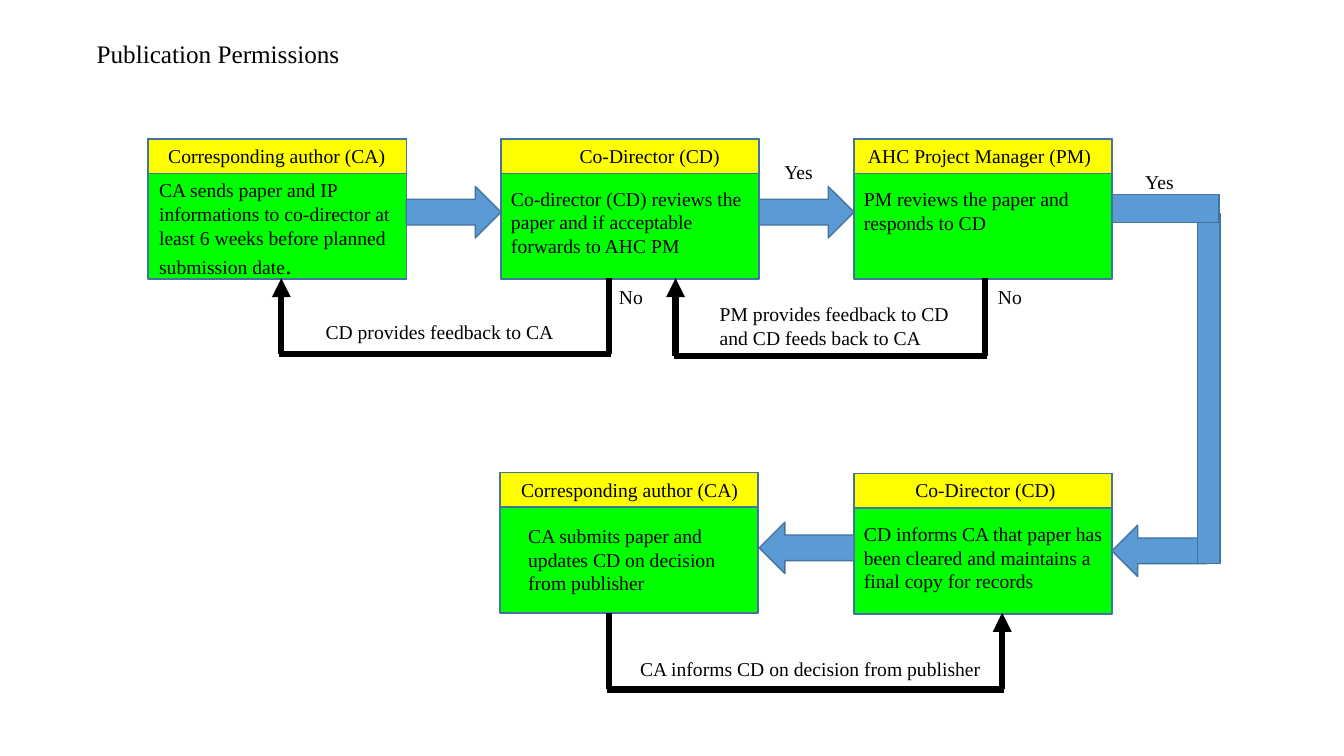
from dataclasses import dataclass

from lxml import etree
from pptx import Presentation
from pptx.dml.color import RGBColor
from pptx.enum.shapes import MSO_CONNECTOR, MSO_SHAPE
from pptx.enum.text import MSO_AUTO_SIZE
from pptx.oxml.ns import qn
from pptx.slide import Slide
from pptx.util import Emu, Pt

RECTANGLE = MSO_SHAPE.RECTANGLE
RIGHT_ARROW = MSO_SHAPE.RIGHT_ARROW
LEFT_ARROW = MSO_SHAPE.LEFT_ARROW
STRAIGHT = MSO_CONNECTOR.STRAIGHT
FIT_TEXT = MSO_AUTO_SIZE.SHAPE_TO_FIT_TEXT

EMU_PER_PX = 9144  # 100 px to the inch
FONT = "Times New Roman"
BLACK = RGBColor(0x00, 0x00, 0x00)
GREEN = RGBColor(0x00, 0xFF, 0x00)
YELLOW = RGBColor(0xFF, 0xFF, 0x00)
BLUE = RGBColor(0x5B, 0x9B, 0xD5)
OUTLINE = RGBColor(0x43, 0x73, 0x9E)

STAGE_WIDTH, STAGE_HEIGHT, HEADER_HEIGHT = 256, 139, 34
LOOP_OVERHANG = 2


@dataclass(frozen=True)
class Label:
    text: str
    left: int
    top: int
    width: int
    height: int = 34
    size: int = 14
    wrap: bool = False
    ending: str = ""  # closing characters set at 18 pt


@dataclass(frozen=True)
class Stage:
    left: int
    top: int
    role: Label
    task: Label


@dataclass(frozen=True)
class Block:
    kind: MSO_SHAPE
    left: int
    top: int
    width: int = 94
    height: int = 51


@dataclass(frozen=True)
class FeedbackLoop:
    start_x: int
    end_x: int
    top: int
    base: int


STAGES = [
    Stage(147, 138, Label("Corresponding author (CA)", 157, 138, 236, wrap=True),
          Label("CA sends paper and IP informations to co-director at least "
                "6 weeks before planned submission date",
                148, 172, 256, 111, wrap=True, ending=".")),
    Stage(497, 138, Label("Co-Director (CD)", 565, 138, 191, wrap=True),
          Label("Co-director (CD) reviews the paper and if acceptable forwards to AHC PM",
                497, 180, 256, 81, wrap=True)),
    Stage(847, 138, Label("AHC Project Manager (PM)", 851, 138, 258, wrap=True),
          Label("PM reviews the paper and responds to CD", 847, 181, 256, 57, wrap=True)),
    Stage(847, 470, Label("Co-Director (CD)", 898, 469, 191, wrap=True),
          Label("CD informs CA that paper has been cleared and maintains "
                "a final copy for records", 847, 513, 262, 81, wrap=True)),
    Stage(496, 469, Label("Corresponding author (CA)", 507, 469, 236, wrap=True),
          Label("CA submits paper and updates CD on decision from publisher",
                514, 515, 239, 81, wrap=True)),
]

FLOW = [
    Block(RIGHT_ARROW, 403, 185),
    Block(RIGHT_ARROW, 753, 185),
    Block(LEFT_ARROW, 753, 518),
    Block(LEFT_ARROW, 1103, 521),
    Block(RECTANGLE, 1188, 212, 22, 347),
    Block(RECTANGLE, 1103, 193, 106, 28),
]

LOOPS = [
    FeedbackLoop(604, 279, 276, 351),
    FeedbackLoop(977, 670, 276, 353),
    FeedbackLoop(604, 994, 608, 684),
]

LABELS = [
    Label("Publication Permissions", 86, 33, 264, 40, size=18),
    Label("CD provides feedback to CA", 313, 312, 248),
    Label("PM provides feedback to CD and CD feeds back to CA", 704, 295, 260, 57, wrap=True),
    Label("No", 604, 278, 44),
    Label("No", 980, 278, 44),
    Label("Yes", 1126, 164, 49),
    Label("Yes", 768, 154, 49),
    Label("CA informs CD on decision from publisher", 625, 647, 361),
]


def px(length: int) -> Emu:
    return Emu(length * EMU_PER_PX)


def draw_block(slide: Slide, block: Block, fill: RGBColor) -> None:
    shape = slide.shapes.add_shape(block.kind, px(block.left), px(block.top),
                                   px(block.width), px(block.height))
    shape.shadow.inherit = False
    shape.fill.solid()
    shape.fill.fore_color.rgb = fill
    shape.line.color.rgb = OUTLINE
    shape.line.width = Pt(1)


def draw_label(slide: Slide, label: Label) -> None:
    box = slide.shapes.add_textbox(px(label.left), px(label.top),
                                   px(label.width), px(label.height))
    frame = box.text_frame
    frame.word_wrap = label.wrap
    frame.auto_size = FIT_TEXT
    paragraph = frame.paragraphs[0]
    paragraph.font.name = FONT
    paragraph.font.size = Pt(label.size)
    paragraph.font.color.rgb = BLACK
    paragraph.add_run().text = label.text
    if label.ending:
        ending = paragraph.add_run()
        ending.text = label.ending
        ending.font.size = Pt(18)


def draw_stage(slide: Slide, stage: Stage) -> None:
    for height, fill in ((STAGE_HEIGHT, GREEN), (HEADER_HEIGHT, YELLOW)):
        draw_block(slide, Block(RECTANGLE, stage.left, stage.top, STAGE_WIDTH, height), fill)
    draw_label(slide, stage.role)
    draw_label(slide, stage.task)


def draw_line(slide: Slide, x1: int, y1: int, x2: int, y2: int, arrow: bool = False) -> None:
    line = slide.shapes.add_connector(STRAIGHT, px(x1), px(y1), px(x2), px(y2))
    line.line.color.rgb = BLACK
    line.line.width = Pt(4.5)
    if arrow:
        etree.SubElement(line.line._get_or_add_ln(), qn("a:tailEnd"), type="triangle")
    etree.SubElement(line._element.spPr, qn("a:effectLst"))


def draw_loop(slide: Slide, loop: FeedbackLoop) -> None:
    left, right = sorted((loop.start_x, loop.end_x))
    draw_line(slide, loop.start_x, loop.top, loop.start_x, loop.base)
    draw_line(slide, left - LOOP_OVERHANG, loop.base, right + LOOP_OVERHANG, loop.base)
    draw_line(slide, loop.end_x, loop.base, loop.end_x, loop.top, arrow=True)


def main() -> None:
    presentation = Presentation()
    presentation.slide_width = px(1333)
    presentation.slide_height = px(750)
    slide = presentation.slides.add_slide(presentation.slide_layouts[6])

    # Stages of the approval process
    for stage in STAGES:
        draw_stage(slide, stage)

    # Block arrows and the bent path down to the second row
    for block in FLOW:
        draw_block(slide, block, BLUE)

    # Feedback lines
    for loop in LOOPS:
        draw_loop(slide, loop)

    # Title and captions
    for label in LABELS:
        draw_label(slide, label)

    presentation.save("out.pptx")


if __name__ == "__main__":
    main()
